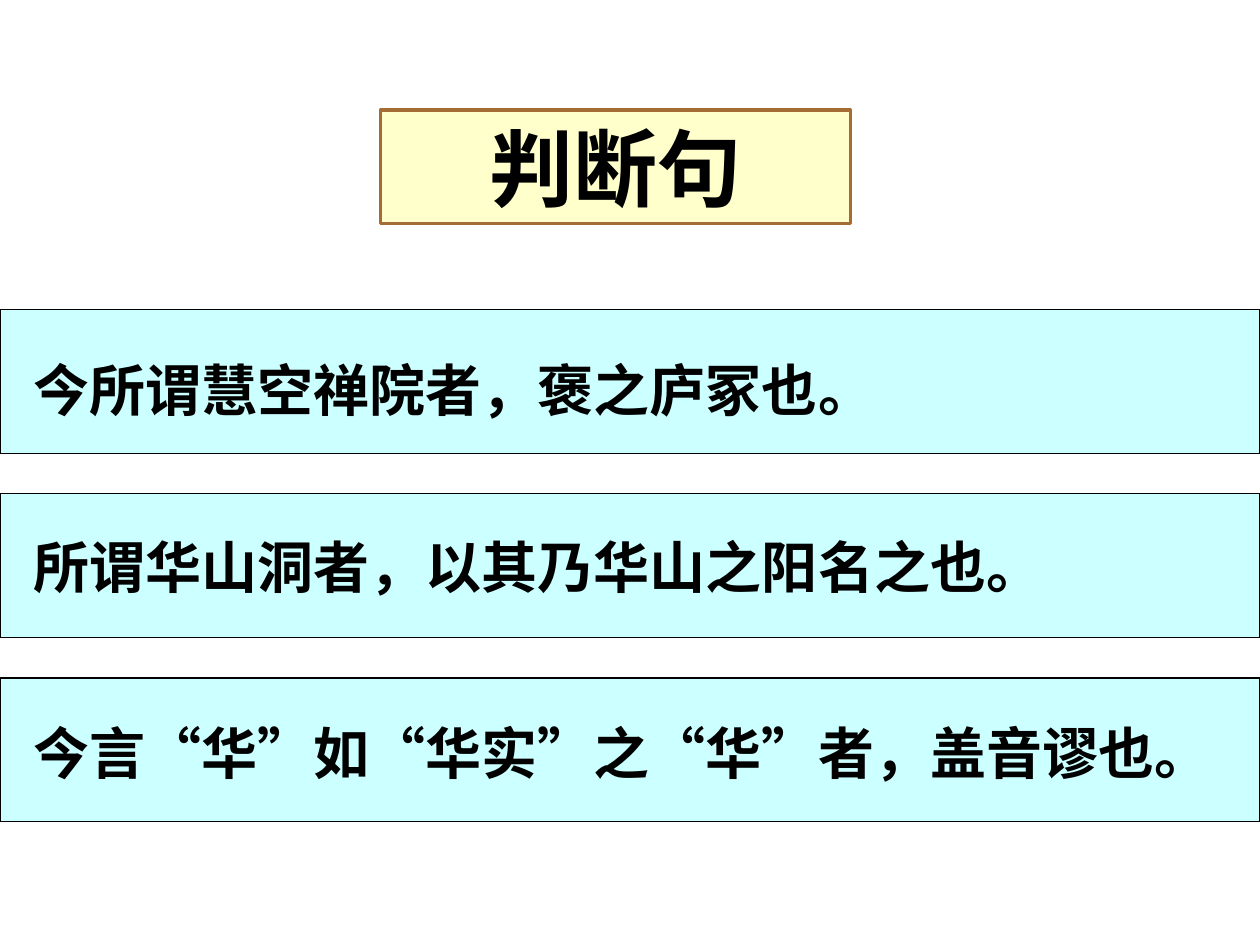
from pptx import Presentation
from pptx.dml.color import RGBColor
from pptx.enum.shapes import MSO_SHAPE
from pptx.enum.text import MSO_ANCHOR, PP_ALIGN
from pptx.util import Pt

TITLE = "判断句"
SENTENCES = [
    # text, text box top, text box width
    ("今所谓慧空禅院者，褒之庐冢也。", 184.3, 578),
    ("所谓华山洞者，以其乃华山之阳名之也。", 285.1, 627),
    ("今言“华”如“华实”之“华”者，盖音谬也。", 391.7, 720.7),
]
COLORS = {"band": "CCFFFF", "title": "FFFFCC", "border": "A46D36", "ink": "000000"}
PAGE_WIDTH, PAGE_HEIGHT = 720, 540
BAND_TOP, BAND_HEIGHT, BAND_STEP = 177, 82.2, 105.2
TEXT_LEFT, TEXT_HEIGHT = 12.2, 61.2


def color(name):
    return RGBColor.from_string(COLORS[name])


def add_panel(page, left, top, width, height, fill, line, weight):
    panel = page.shapes.add_shape(
        MSO_SHAPE.RECTANGLE, Pt(left), Pt(top), Pt(width), Pt(height))
    panel.shadow.inherit = False
    panel.fill.solid()
    panel.fill.fore_color.rgb = color(fill)
    panel.line.color.rgb = color(line)
    panel.line.width = Pt(weight)
    return panel


def write(box, text, size, font, align, wrap):
    frame = box.text_frame
    frame.word_wrap = wrap
    frame.vertical_anchor = MSO_ANCHOR.MIDDLE
    para = frame.paragraphs[0]
    para.text = text
    para.alignment = align
    para.font.size = Pt(size)
    para.font.name = font
    para.font.bold = True
    para.font.color.rgb = color("ink")
    return para


deck = Presentation()
deck.slide_width, deck.slide_height = Pt(PAGE_WIDTH), Pt(PAGE_HEIGHT)
page = deck.slides.add_slide(deck.slide_layouts[6])

# Sentence bands, evenly spaced, each with its text
for index, (sentence, top, width) in enumerate(SENTENCES):
    add_panel(page, 0, BAND_TOP + index * BAND_STEP, PAGE_WIDTH, BAND_HEIGHT,
              "band", "ink", 0.75)
    box = page.shapes.add_textbox(Pt(TEXT_LEFT), Pt(top), Pt(width), Pt(TEXT_HEIGHT))
    para = write(box, sentence, 32, "Noto Sans CJK SC", PP_ALIGN.LEFT, False)
    para.line_spacing = 1.4

# Title
title = add_panel(page, 217.4, 63, 268.6, 64.8, "title", "border", 2)
write(title, TITLE, 48, "Arial", PP_ALIGN.CENTER, True)

deck.save("out.pptx")
